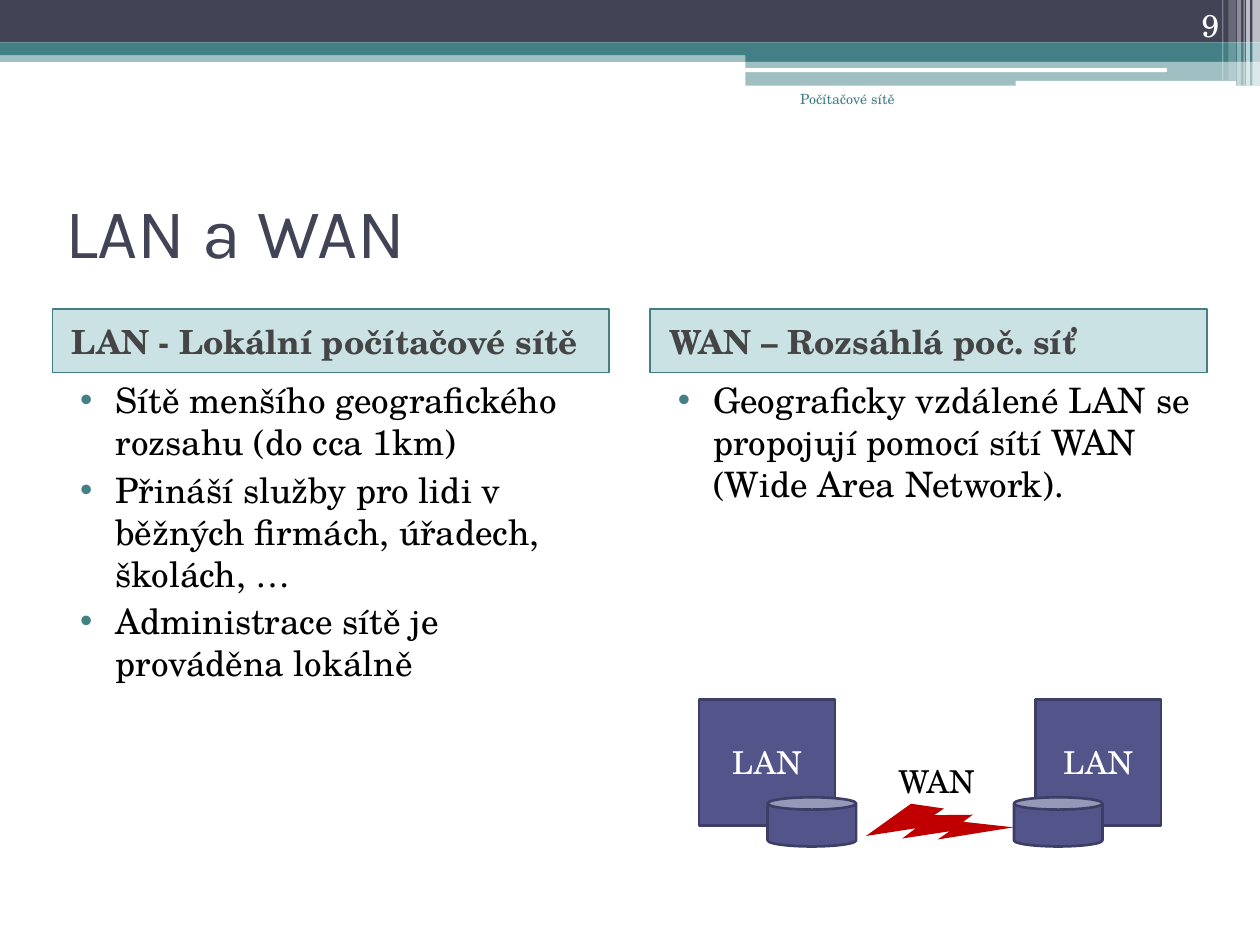
from dataclasses import dataclass

from pptx import Presentation
from pptx.dml.color import RGBColor as Rgb
from pptx.enum.shapes import MSO_SHAPE as Kind
from pptx.enum.text import MSO_ANCHOR as Anchor, MSO_AUTO_SIZE as Auto, PP_ALIGN as Align
from pptx.oxml.ns import qn
from pptx.util import Pt
from lxml.etree import SubElement


@dataclass(frozen=True)
class Theme:
    head_font: str = "Karla"
    font: str = "TeX Gyre Schola"
    dark: str = "424456"
    teal: str = "438086"
    tint: str = "328E97"
    grey: str = "454545"
    node: str = "53548A"
    edge: str = "3D3E66"
    bolt: str = "C00000"
    white: str = "FFFFFF"
    black: str = "000000"
    title: float = 40
    body: float = 20
    head: float = 19
    label: float = 18
    foot: float = 8


@dataclass(frozen=True)
class Box:
    x: float
    y: float
    w: float
    h: float


@dataclass(frozen=True)
class Band:
    box: Box
    color: str
    alpha: int = 100
    kind: Kind = Kind.RECTANGLE


@dataclass(frozen=True)
class Column:
    x: float
    head: str
    items: tuple[str, ...]
    height: float


T = Theme()


def place(shape, box: Box) -> None:
    shape.left, shape.top = Pt(box.x), Pt(box.y)
    shape.width, shape.height = Pt(box.w), Pt(box.h)


def paint(shape, color: str, alpha: int = 100, line: str = "", width: float = 1) -> None:
    shape.fill.solid()
    shape.fill.fore_color.rgb = Rgb.from_string(color)
    if alpha < 100:
        tone = shape.fill._xPr.find(qn("a:solidFill"))[0]
        SubElement(tone, qn("a:alpha")).set("val", str(alpha * 1000))
    if line:
        shape.line.color.rgb = Rgb.from_string(line)
        shape.line.width = Pt(width)
    else:
        shape.line.fill.background()


def write(shape, lines: tuple[str, ...], size: float, color: str, *, font: str = T.font,
          bold: bool = False, align=Align.LEFT, anchor=Anchor.TOP, wrap: bool = True,
          before: float = 0) -> None:
    frame = shape.text_frame
    frame.text = "\n".join(lines)
    frame.word_wrap = wrap
    frame.auto_size = Auto.NONE if wrap else Auto.SHAPE_TO_FIT_TEXT
    frame.vertical_anchor = anchor
    for para in frame.paragraphs:
        para.alignment = align
        para.space_before = Pt(before)
        for run in para.runs:
            run.font.name, run.font.size, run.font.bold = font, Pt(size), bold
            run.font.color.rgb = Rgb.from_string(color)


def indent(shape, left: float, first: float = 0, mark: str = "") -> None:
    for para in shape.text_frame.paragraphs:
        props = para._p.get_or_add_pPr()
        props.set("marL", str(Pt(left)))
        props.set("indent", str(Pt(first)))
        if mark:
            tone = SubElement(props, qn("a:buClr"))
            SubElement(tone, qn("a:srgbClr")).set("val", T.teal)
            SubElement(props, qn("a:buChar")).set("char", mark)


def draw(slide, kind: Kind, box: Box, color: str, alpha: int = 100,
         line: str = "", width: float = 1.5):
    shape = slide.shapes.add_shape(kind, Pt(box.x), Pt(box.y), Pt(box.w), Pt(box.h))
    shape.shadow.inherit = False
    paint(shape, color, alpha, line, width)
    return shape


def label(slide, box: Box, text: str, size: float, color: str, **style) -> None:
    shape = slide.shapes.add_textbox(Pt(box.x), Pt(box.y), Pt(box.w), Pt(box.h))
    write(shape, (text,), size, color, **style)


ROUND = Kind.ROUNDED_RECTANGLE
BANDS = (
    Band(Box(0, 28.8, 720, 6.6), T.teal, 50),
    Band(Box(0, 0, 720, 24.3), T.dark),
    Band(Box(0, 24.3, 720, 7.2), T.teal),
    Band(Box(426, 28, 294, 7.2), T.teal),
    Band(Box(426, 35, 294, 14), T.teal, 50),
    Band(Box(425.6, 39, 241.2, 2.2), T.white, kind=ROUND),
    Band(Box(580.4, 46.2, 126, 2.8), T.white, kind=ROUND),
)
# Pale strips at the right edge: left, width, height, opacity
STRIPS = (
    (715.7, 4.3, 49, 65), (712.1, 2.2, 49, 65), (710.6, 0.7, 49, 60),
    (707, 2.2, 49, 40), (702, 4.3, 46, 20), (698.4, 0.7, 46, 30),
)
COLUMNS = (
    Column(30, "LAN - Lokální počítačové sítě", (
        "Sítě menšího geografického rozsahu (do cca 1km)",
        "Přináší služby pro lidi v běžných firmách, úřadech, školách, …",
        "Administrace sítě je prováděna lokálně"), 306),
    Column(371.5, "WAN – Rozsáhlá poč. síť", (
        "Geograficky vzdálené LAN se propojují pomocí sítí WAN (Wide Area Network).",), 180.7),
)
WIDE, HEAD_Y, HEAD_H = 318.2, 176.7, 36.2


def main() -> None:
    deck = Presentation()
    deck.slide_width, deck.slide_height = Pt(720), Pt(540)
    slide = deck.slides.add_slide(deck.slide_layouts[4])
    holders = list(slide.placeholders)
    title, *parts = holders

    # Header decoration, kept behind the placeholders
    strips = tuple(Band(Box(x, 0, w, h), T.white, a) for x, w, h, a in STRIPS)
    for band in BANDS + strips:
        draw(slide, band.kind, band.box, band.color, band.alpha)
    for holder in holders:
        slide.shapes._spTree.append(holder._element)

    # Title
    place(title, Box(30, 90, 660, 84))
    write(title, ("LAN a WAN",), T.title, T.dark, font=T.head_font, anchor=Anchor.MIDDLE)

    # Two columns, each a heading and a list
    for col, head, body in zip(COLUMNS, parts[::2], parts[1::2]):
        place(head, Box(col.x, HEAD_Y, WIDE, HEAD_H))
        paint(head, T.tint, 25, T.teal)
        write(head, (col.head,), T.head, T.grey, bold=True, anchor=Anchor.MIDDLE, before=3)
        indent(head, 3.6)
        place(body, Box(col.x, HEAD_Y + HEAD_H, WIDE, col.height))
        write(body, col.items, T.body, T.black, before=3)
        indent(body, 28.8, -20.2, "•")

    # Page number and footer
    label(slide, Box(643.7, 0, 60, 28.8), "9", T.label, T.white,
          align=Align.RIGHT, anchor=Anchor.BOTTOM)
    label(slide, Box(414, 48.2, 104.4, 36), "Počítačové sítě", T.foot, T.teal,
          align=Align.RIGHT)

    # Two local networks, their routers and the link between them
    for x, w in ((399.4, 77.8), (591.6, 72)):
        net = draw(slide, Kind.RECTANGLE, Box(x, 399.6, w, 72), T.node, line=T.edge)
        write(net, ("LAN",), T.label, T.white, align=Align.CENTER, anchor=Anchor.MIDDLE)
    for x in (438.6, 579.4):
        draw(slide, Kind.CAN, Box(x, 455.6, 50.6, 28.1), T.node, line=T.edge)
    bolt = draw(slide, Kind.LIGHTNING_BOLT, Box(496.1, 454.3, 79.2, 36), T.bolt)
    bolt.rotation = 336.2
    label(slide, Box(506.2, 432, 58.3, 28.8), "WAN", T.label, T.black, wrap=False)

    deck.save("out.pptx")


if __name__ == "__main__":
    main()
